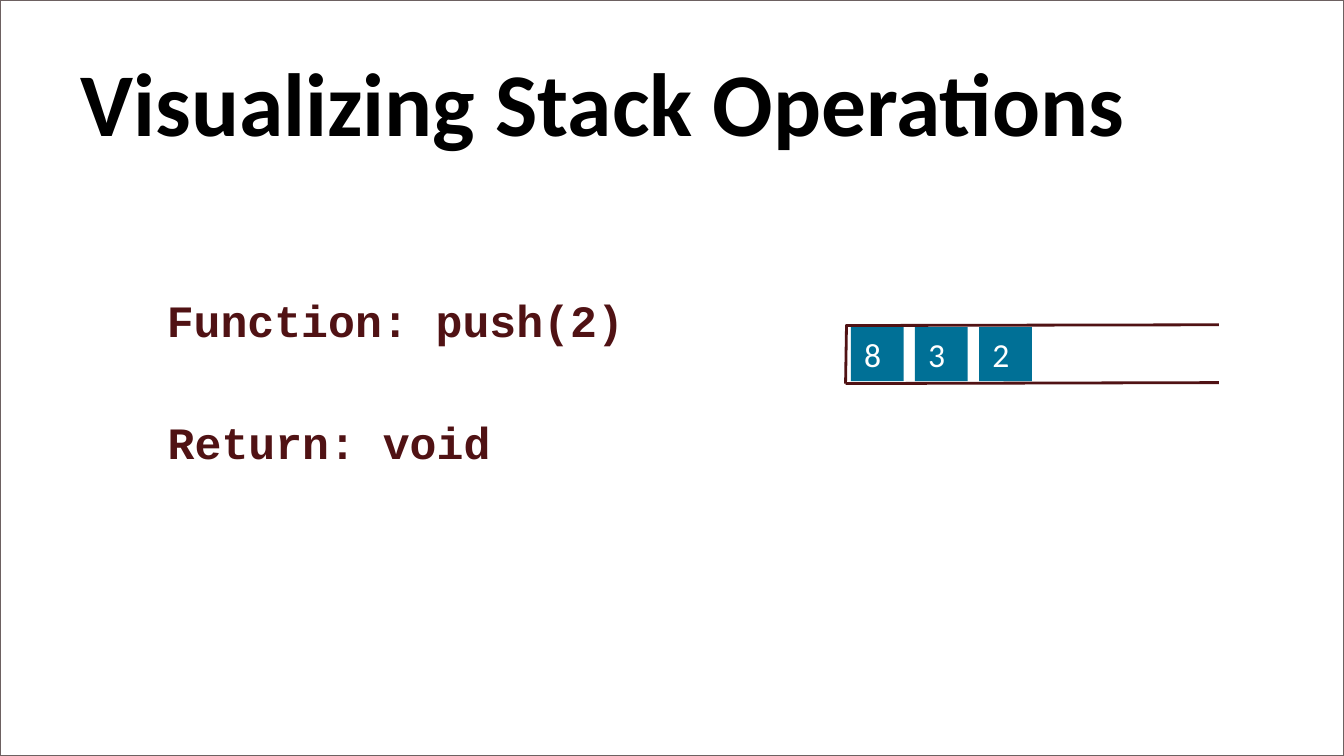
from lxml import etree
from pptx import Presentation
from pptx.dml.color import RGBColor
from pptx.enum.shapes import MSO_CONNECTOR, MSO_SHAPE
from pptx.enum.text import MSO_ANCHOR, PP_ALIGN
from pptx.oxml.ns import qn
from pptx.util import Pt

RECT = MSO_SHAPE.RECTANGLE
LINE = MSO_CONNECTOR.STRAIGHT
LEFT = PP_ALIGN.LEFT
TOP, MIDDLE = MSO_ANCHOR.TOP, MSO_ANCHOR.MIDDLE

WIDTH, HEIGHT = 720, 405
WHITE, BLACK, MAROON, TEAL, GREY = "FFFFFF", "000000", "501214", "007096", "6D6161"
HEAD = {"name": "Calibri", "size": Pt(48), "bold": True}
CODE = {"name": "Courier New", "size": Pt(24), "bold": True}
DIGIT = {"name": "Calibri", "size": Pt(18), "bold": False}


def color(text):
    return RGBColor.from_string(text)


class Sketch:
    """Draws the styled parts of a slide, with lengths in points."""

    def __init__(self, slide):
        self.slide = slide
        self.shapes = slide.shapes

    def letter(self, shape, text, font, ink, anchor=TOP):
        frame = shape.text_frame
        margins = {"margin_left": Pt(7.2), "margin_right": Pt(7.2),
                   "margin_top": Pt(3.6), "margin_bottom": Pt(3.6)}
        for key, value in {"word_wrap": True, "vertical_anchor": anchor, **margins}.items():
            setattr(frame, key, value)
        frame.text = text
        par = frame.paragraphs[0]
        par.alignment = LEFT
        for key, value in font.items():
            setattr(par.font, key, value)
        par.font.color.rgb = color(ink)

    def title(self, text, *box):
        shape = self.shapes.title
        for key, value in zip(("left", "top", "width", "height"), box):
            setattr(shape, key, Pt(value))
        self.letter(shape, text, HEAD, BLACK, MIDDLE)

    def label(self, text, *box):
        self.letter(self.shapes.add_textbox(*map(Pt, box)), text, CODE, MAROON)

    def block(self, fill, *box):
        shape = self.shapes.add_shape(RECT, *map(Pt, box))
        shape.shadow.inherit = False
        shape.fill.solid()
        shape.fill.fore_color.rgb = color(fill)
        shape.line.fill.background()
        return shape

    def border(self):
        shape = self.block(WHITE, 0, 0, WIDTH, HEIGHT)
        shape.line.color.rgb = color(GREY)
        shape.line.width = Pt(1)
        self.shapes.title.element.addprevious(shape.element)

    def cell(self, text, *box):
        self.letter(self.block(TEAL, *box), text, DIGIT, WHITE)

    def line(self, *ends):
        link = self.shapes.add_connector(LINE, *map(Pt, ends))
        link.line.color.rgb = color(MAROON)
        link.line.width = Pt(1.5)
        etree.SubElement(link.element.spPr, qn("a:effectLst"))


def main():
    deck = Presentation()
    deck.slide_width, deck.slide_height = Pt(WIDTH), Pt(HEIGHT)
    page = Sketch(deck.slides.add_slide(deck.slide_layouts[5]))
    page.border()
    page.title("Visualizing Stack Operations", 36, 22.5, 648, 62.5)

    left, right, top, base = 453, 653, 174, 205.5
    page.line(left, top + 0.4, right, top)
    page.line(left, base, right, base - 0.5)
    page.line(left + 0.5, top, left, base)

    page.label("Function: push(2)", 82.3, 153.4, 268.6, 36)
    for i, digit in enumerate("832"):
        page.cell(digit, 455.8 + 34.4 * i, 175.2, 28.3, 29)
    page.label("Return: void", 82.8, 218.6, 252, 65.5)
    deck.save("out.pptx")


if __name__ == "__main__":
    main()
